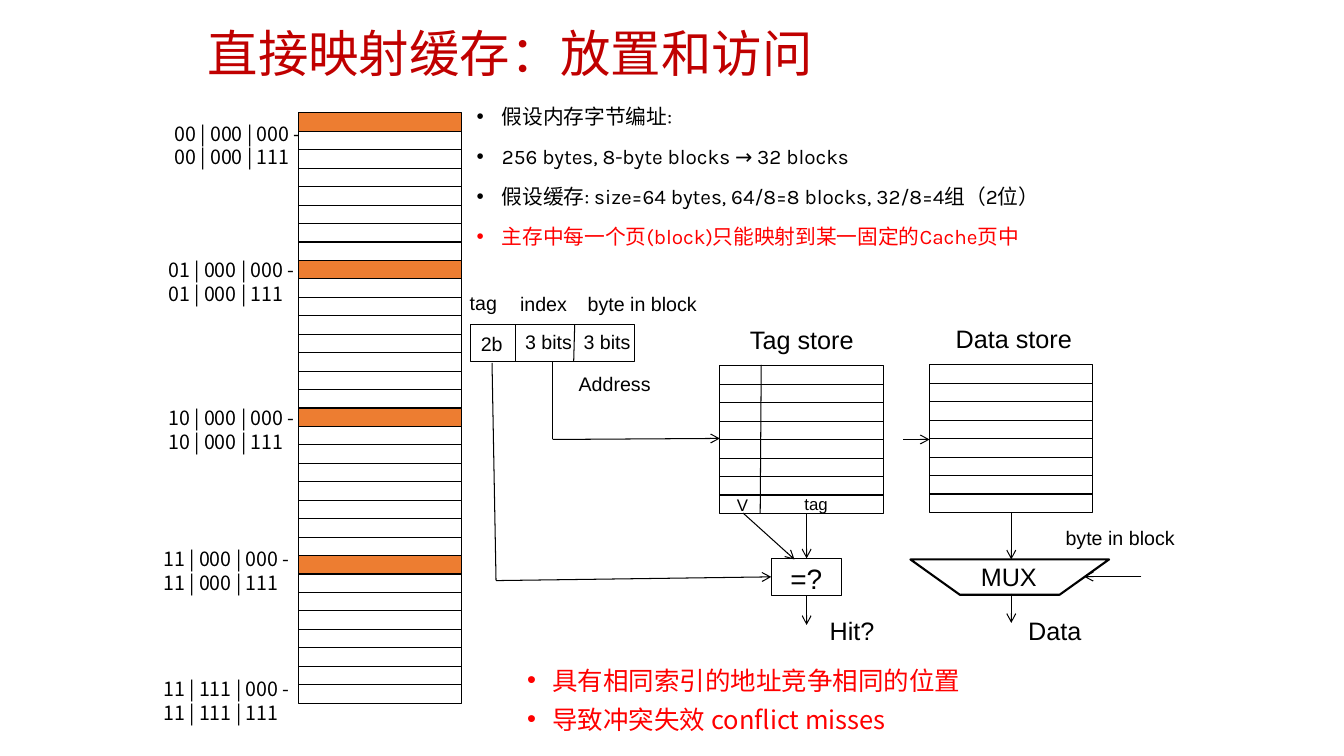
"""Build the slide on placement and access in a direct-mapped cache."""
import pptx
import pptx.util
import pptx.dml.color
import pptx.enum.shapes
import pptx.enum.text
import pptx.oxml
import pptx.oxml.ns

WIDTH, HEIGHT = 13.33, 7.5
ROW, STORE_W = 0.183, 1.62
BLACK, RED, DARK_RED, ORANGE = "000000", "FF0000", "C00000", "ED7D31"
CJK, SANS, BODY = "Noto Sans CJK SC", "Arial", "Karla"

TITLE = "直接映射缓存：放置和访问"
BULLETS = [
    {"box": (4.63, 0.88, 7.43, 1.75), "size": 14.8, "font": BODY, "pitch": 28.6, "indent": 0.25,
     "lines": [("假设内存字节编址:", BLACK),
               ("256 bytes, 8-byte blocks → 32 blocks", BLACK),
               ("假设缓存: size=64 bytes, 64/8=8 blocks, 32/8=4组（2位）", BLACK),
               ("主存中每一个页(block)只能映射到某一固定的Cache页中", RED)]},
    {"box": (5.13, 6.51, 6.93, 0.85), "size": 18.2, "font": CJK, "pitch": 27.9, "indent": 0.25,
     "lines": [("具有相同索引的地址竞争相同的位置", RED),
               ("导致冲突失效 conflict misses", RED)]},
]
STACKS = {"memory": (2.96, 1.12, 32), "tags": (7.14, 3.63, 8), "data": (9.22, 3.62, 8)}
GROUP_ROWS = 8
BOXES = {"address": (4.67, 3.22, STORE_W, 2 * ROW), "compare": (7.65, 5.54, 0.7, 2 * ROW)}
MUX = [(11, 5.55), (10.51, 5.9), (9.52, 5.9), (9.03, 5.55)]
MEMORY_LABELS = [
    (1.63, 1.16, "00 | 000"), (1.57, 2.51, "01 | 000"), (1.57, 3.98, "10 | 000"),
    (1.52, 5.38, "11 | 000"), (1.52, 6.67, "11 | 111"),
]
LABELS = [
    ("Tag store", 18, 7.34, 3.17, 1.24), ("Data store", 18, 9.38, 3.16, 1.37),
    ("Address", 14, 5.64, 3.64, 0.92), ("tag", 14, 4.56, 2.84, 0.47),
    ("index", 14, 5.06, 2.85, 0.67), ("byte in block", 14, 5.73, 2.85, 1.29),
    ("3 bits", 14, 5.69, 3.22, 0.67), ("3 bits", 14, 5.11, 3.22, 0.67),
    ("2b", 14, 4.67, 3.24, 0.42), ("V", 12, 7.21, 4.86, 0.31),
    ("tag", 12, 7.88, 4.85, 0.44), ("=?", 20, 7.74, 5.52, 0.52),
    ("MUX", 18, 9.63, 5.52, 0.76), ("byte in block", 14, 10.47, 5.17, 1.29),
    ("Hit?", 18, 8.13, 6.06, 0.65), ("Data", 18, 10.1, 6.06, 0.73),
]
PLAIN_LINES = [
    ((5.7, 3.22), (5.69, 3.59)), ((5.11, 3.22), (5.11, 3.59)),
    (("address", 2), (5.48, 4.36)), ((7.55, 3.62), (7.54, 5.09)),
    ((4.88, 3.6), (4.92, 5.76)),
]
ARROWS = [
    ((5.48, 4.36), (7.14, 4.35)), ((8.96, 4.36), (9.22, 4.36)),
    ((8, 5.09), ("compare", 0)), ((7.37, 5.09), (7.88, 5.55)),
    ((4.92, 5.76), ("compare", 1)), (("data", 2), (10.03, 5.55)),
    ((11.32, 5.72), (10.75, 5.72)), (("compare", 2), (8, 6.2)),
    ((10.03, 5.89), (10.03, 6.18)),
]


def rgb(value):
    """Return the colour for a hex string."""
    return pptx.dml.color.RGBColor.from_string(value)


def inches(*values):
    """Return the lengths in slide units."""
    return [pptx.util.Inches(v) for v in values]


def apply(target, formats):
    """Set each attribute in the dict."""
    for name, value in formats.items():
        setattr(target, name, value)


def add_run(p, text, size, font, color):
    """Add a formatted run to a paragraph."""
    r = p.add_run()
    r.text = text
    apply(r.font, {"size": pptx.util.Pt(size), "name": font, "bold": False})
    r.font.color.rgb = rgb(color)
    ea = pptx.oxml.parse_xml(f'<a:ea {pptx.oxml.ns.nsdecls("a")} typeface="{CJK}"/>')
    r.font._element.find(pptx.oxml.ns.qn("a:latin")).addnext(ea)


def outline(sp, fill=None, weight=0.75):
    """Give a shape a black outline and an optional fill."""
    sp.shadow.inherit = False
    if fill:
        sp.fill.solid()
        sp.fill.fore_color.rgb = rgb(fill)
    else:
        sp.fill.background()
    sp.line.color.rgb = rgb(BLACK)
    sp.line.width = pptx.util.Pt(weight)


def add_box(s, box, fill=None):
    """Add an outlined rectangle."""
    sp = s.shapes.add_shape(pptx.enum.shapes.MSO_SHAPE.RECTANGLE, *inches(*box))
    outline(sp, fill)
    return sp


def add_label(s, lines, size, font, box):
    """Add an unwrapped text box with one paragraph per line."""
    tf = s.shapes.add_textbox(*inches(*box)).text_frame
    tf.word_wrap = False
    for i, line in enumerate(lines):
        p = tf.add_paragraph() if i else tf.paragraphs[0]
        add_run(p, line, size, font, BLACK)


def add_bullets(s, block):
    """Add a bulleted text box with an even line pitch."""
    tf = s.shapes.add_textbox(*inches(*block["box"])).text_frame
    apply(tf, {"word_wrap": True, "margin_top": 0, "margin_bottom": 0})
    for i, (text, color) in enumerate(block["lines"]):
        p = tf.add_paragraph() if i else tf.paragraphs[0]
        p.line_spacing = pptx.util.Pt(block["pitch"])
        add_run(p, text, block["size"], block["font"], color)
        ppr = p._p.get_or_add_pPr()
        indent = pptx.util.Inches(block["indent"])
        ppr.set("marL", str(indent))
        ppr.set("indent", str(-indent))
        for tag, attrs in (("buFont", 'typeface="Arial"'), ("buChar", 'char="•"')):
            ppr.append(pptx.oxml.parse_xml(f'<a:{tag} {pptx.oxml.ns.nsdecls("a")} {attrs}/>'))


def add_line(s, parts, start, end, arrow):
    """Add a line whose ends are points or (part, side) joints."""
    joints = [isinstance(e[0], str) for e in (start, end)]
    points = [(0, 0) if j else e for j, e in zip(joints, (start, end))]
    ln = s.shapes.add_connector(pptx.enum.shapes.MSO_CONNECTOR.STRAIGHT,
                                *inches(*points[0], *points[1]))
    for joined, join, e in zip(joints, (ln.begin_connect, ln.end_connect), (start, end)):
        if joined:
            join(parts[e[0]], e[1])
    ln.line.color.rgb = rgb(BLACK)
    ln.line.width = pptx.util.Pt(0.75)
    ns = pptx.oxml.ns.nsdecls("a")
    if arrow:
        ln.line._get_or_add_ln().append(pptx.oxml.parse_xml(f'<a:tailEnd {ns} type="arrow"/>'))
    ln._element.spPr.append(pptx.oxml.parse_xml(f"<a:effectLst {ns}/>"))


def main():
    """Build and save the slide."""
    prs = pptx.Presentation()
    prs.slide_width, prs.slide_height = inches(WIDTH, HEIGHT)
    s = prs.slides.add_slide(prs.slide_layouts[5])

    title = s.shapes.title
    apply(title, dict(zip(("left", "top", "width", "height"), inches(1.96, 0.26, 9.42, 0.59))))
    title.text_frame.vertical_anchor = pptx.enum.text.MSO_ANCHOR.MIDDLE
    p = title.text_frame.paragraphs[0]
    apply(p, {"alignment": pptx.enum.text.PP_ALIGN.LEFT, "line_spacing": 0.9})
    add_run(p, TITLE, 36, CJK, DARK_RED)

    for block in BULLETS:
        add_bullets(s, block)

    parts = {}
    for name, (left, top, rows) in STACKS.items():
        for i in range(rows):
            fill = ORANGE if name == "memory" and i % GROUP_ROWS == 0 else None
            parts[name] = add_box(s, (left, top + i * ROW, STORE_W, ROW), fill)
    for name, box in BOXES.items():
        parts[name] = add_box(s, box)

    fb = s.shapes.build_freeform(*inches(*MUX[0]), scale=1.0)
    fb.add_line_segments([inches(*point) for point in MUX[1:]], close=True)
    outline(fb.convert_to_shape(), weight=1.5)

    for lines, arrow in ((PLAIN_LINES, False), (ARROWS, True)):
        for start, end in lines:
            add_line(s, parts, start, end, arrow)
    for text, size, left, top, width in LABELS:
        add_label(s, [text], size, SANS, (left, top, width, 0.1 + size / 60))
    for left, top, prefix in MEMORY_LABELS:
        add_label(s, [f"{prefix} | 000 -", f"{prefix} | 111"], 14, CJK, (left, top, 1.49, 0.57))
    prs.save("out.pptx")


if __name__ == "__main__":
    main()
